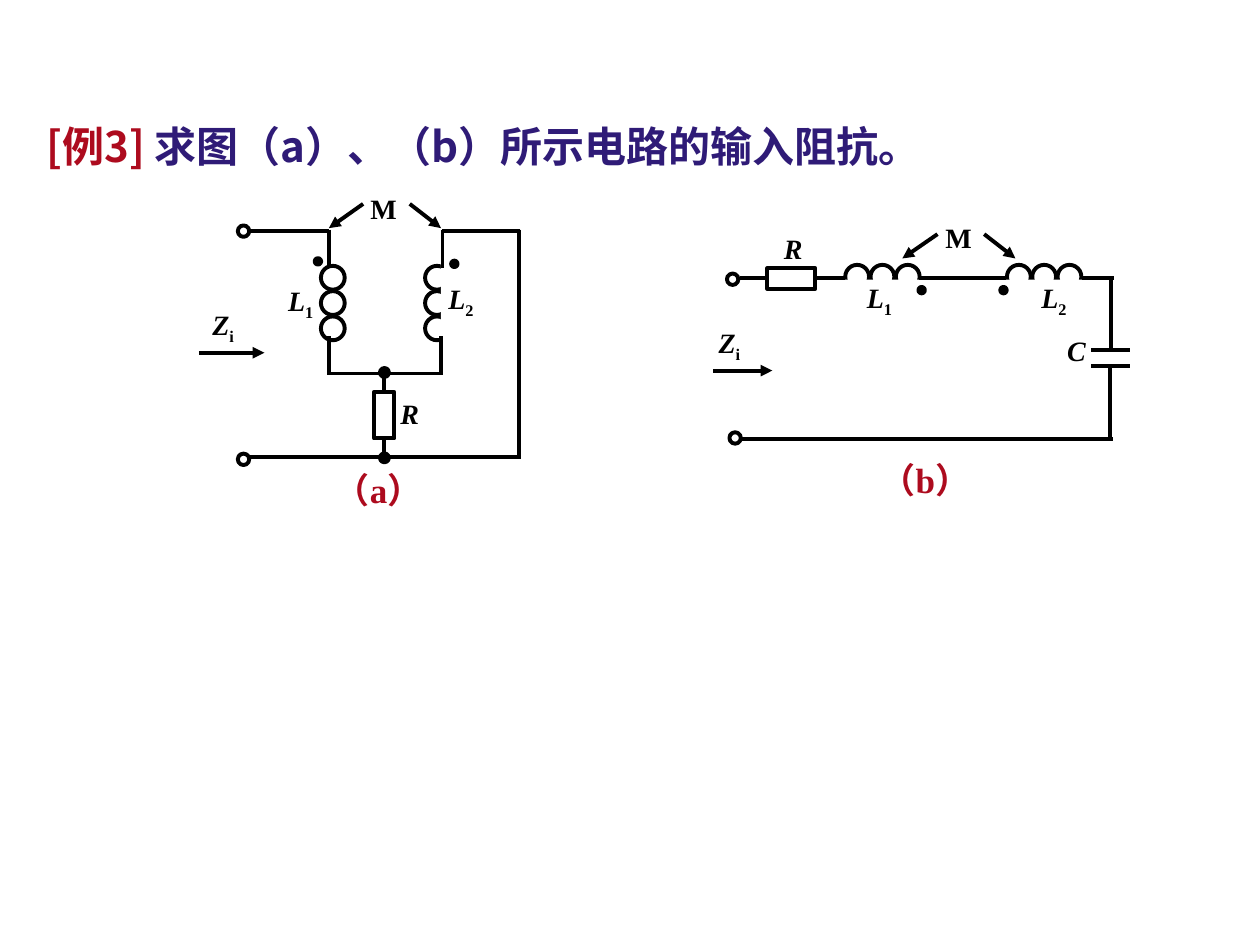
from lxml import etree
from pptx import Presentation
from pptx.dml.color import RGBColor
from pptx.enum.shapes import MSO_CONNECTOR, MSO_SHAPE
from pptx.enum.text import PP_ALIGN
from pptx.oxml.ns import qn
from pptx.util import Cm, Pt

BLACK = RGBColor(0x00, 0x00, 0x00)
WHITE = RGBColor(0xFF, 0xFF, 0xFF)
RED = RGBColor(0xAD, 0x0B, 0x1E)
NAVY = RGBColor(0x2F, 0x1B, 0x77)
OVAL, RECTANGLE = MSO_SHAPE.OVAL, MSO_SHAPE.RECTANGLE
STRAIGHT = MSO_CONNECTOR.STRAIGHT
LEFT, CENTER, JUSTIFY = PP_ALIGN.LEFT, PP_ALIGN.CENTER, PP_ALIGN.JUSTIFY
SANS, SERIF = "Noto Sans CJK SC", "Times New Roman"
LINE_WIDTH = Pt(2.25)
TERMINAL, JUNCTION, POLARITY_DOT, TURN = 0.23, 0.18, 0.13, 0.48
TURN_COUNT, TURN_PITCH = 3, 0.51

# All positions are in centimetres.
TITLE = [("[例3] ", RED), ("求图（a）、（b）所示电路的输入阻抗。", NAVY)]
TITLE_BOX = (0.69, 2.31, 22.81, 1.27)
CAPTIONS = [("（a）", (6.5, 9.32, 3.4, 1.12)), ("（b）", (17.5, 9.12, 3.4, 1.12))]

# coils: centre of the first turn, step direction
# labels: letter, subscript, italic, box, alignment
CIRCUIT_A = {
    "coils": [(6.71, 5.6, 0, 1), (8.81, 5.6, 0, 1)],
    "coil_masks": [(8.89, 5.26, 0.51, 1.7)],
    "wires": [
        (5.05, 4.65, 6.63, 4.65), (6.63, 4.63, 6.63, 5.41),
        (6.63, 6.78, 6.63, 7.56), (6.61, 7.53, 8.89, 7.53),
        (8.89, 6.78, 8.89, 7.56), (8.92, 4.63, 8.92, 5.41),
        (8.92, 4.65, 10.48, 4.65), (10.46, 4.63, 10.46, 9.25),
        (5.01, 9.22, 10.48, 9.22), (7.75, 7.54, 7.75, 9.25),
    ],
    "resistor": (7.54, 7.9, 0.41, 0.94),
    "terminals": [(4.91, 4.66), (4.91, 9.26)],
    "junctions": [(7.75, 7.51), (7.75, 9.23)],
    "polarity_dots": [(6.41, 5.27), (9.16, 5.32)],
    "arrows": [(7.32, 4.11, 6.63, 4.6), (8.26, 4.11, 8.89, 4.6),
               (4.01, 7.11, 5.33, 7.11)],
    "labels": [
        ("L", "1", True, (5.56, 5.59, 1.57, 1.04), JUSTIFY),
        ("L", "2", True, (8.79, 5.56, 1.57, 1.04), JUSTIFY),
        ("Z", "i", True, (3.51, 6.07, 1.98, 1.04), CENTER),
        ("M", "", False, (7.11, 3.73, 1.24, 0.94), CENTER),
        ("R", "", True, (7.82, 7.87, 1.57, 0.94), JUSTIFY),
    ],
}
CIRCUIT_B = {
    "coils": [(17.28, 5.58, 1, 0), (20.54, 5.58, 1, 0)],
    "coil_masks": [(16.92, 5.64, 1.73, 0.51), (20.17, 5.64, 1.73, 0.51)],
    "wires": [
        (14.91, 5.61, 15.77, 5.61), (16.18, 5.61, 17.04, 5.61),
        (18.52, 5.61, 20.27, 5.61), (21.82, 5.61, 22.45, 5.61),
        (22.4, 5.61, 22.4, 7.04), (22, 7.06, 22.78, 7.06),
        (22, 7.37, 22.78, 7.37), (22.38, 7.42, 22.38, 8.86),
        (14.94, 8.85, 22.43, 8.85),
    ],
    "resistor": (15.47, 5.41, 0.97, 0.41),
    "terminals": [(14.77, 5.63), (14.82, 8.83)],
    "junctions": [],
    "polarity_dots": [(18.58, 5.85), (20.23, 5.85)],
    "arrows": [(18.9, 4.72, 18.19, 5.21), (19.84, 4.72, 20.47, 5.21),
               (14.38, 7.47, 15.57, 7.47)],
    "labels": [
        ("L", "1", True, (16.46, 5.54, 2.54, 1.04), CENTER),
        ("L", "2", True, (19.96, 5.54, 2.57, 1.04), CENTER),
        ("R", "", True, (15.04, 4.55, 1.9, 0.94), CENTER),
        ("Z", "i", True, (13.69, 6.43, 2.03, 1.04), CENTER),
        ("C", "", True, (20.75, 6.6, 1.9, 0.94), CENTER),
        ("M", "", False, (18.69, 4.32, 1.27, 0.94), CENTER),
    ],
}


def add_text_box(shapes, box, align=LEFT):
    frame = shapes.add_textbox(*map(Cm, box)).text_frame
    frame.word_wrap = True
    paragraph = frame.paragraphs[0]
    paragraph.alignment = align
    return paragraph


def add_run(paragraph, text, *, size, font=SERIF, color=BLACK, italic=False, subscript=False):
    run = paragraph.add_run()
    run.text = text
    run.font.size = Pt(size)
    run.font.bold = True
    run.font.italic = italic
    run.font.color.rgb = color
    run.font.name = font
    properties = run._r.get_or_add_rPr()
    if font == SANS:
        etree.SubElement(properties, qn("a:ea"), typeface=font)
    if subscript:
        properties.set("baseline", "-25000")


def add_outline(shapes, kind, box, fill=None, outlined=True):
    shape = shapes.add_shape(kind, *map(Cm, box))
    shape.shadow.inherit = False
    if fill is None:
        shape.fill.background()
    else:
        shape.fill.solid()
        shape.fill.fore_color.rgb = fill
    if outlined:
        shape.line.color.rgb = BLACK
        shape.line.width = LINE_WIDTH
    else:
        shape.line.fill.background()


def add_circle(shapes, x, y, diameter, fill=None):
    """Draw a circle around the centre (x, y)."""
    box = (x - diameter / 2, y - diameter / 2, diameter, diameter)
    add_outline(shapes, OVAL, box, fill)


def add_wire(shapes, ends, arrow=False):
    connector = shapes.add_connector(STRAIGHT, *map(Cm, ends))
    connector.line.color.rgb = BLACK
    connector.line.width = LINE_WIDTH
    if arrow:
        etree.SubElement(connector.line._get_or_add_ln(), qn("a:tailEnd"), type="triangle")
    etree.SubElement(connector._element.spPr, qn("a:effectLst"))


def add_circuit(slide, circuit):
    shapes = slide.shapes.add_group_shape().shapes
    for x, y, step_x, step_y in circuit["coils"]:
        for turn in range(TURN_COUNT):
            offset = turn * TURN_PITCH
            add_circle(shapes, x + step_x * offset, y + step_y * offset, TURN)
    for box in circuit["coil_masks"]:
        add_outline(shapes, RECTANGLE, box, WHITE, outlined=False)
    for ends in circuit["wires"]:
        add_wire(shapes, ends)
    add_outline(shapes, RECTANGLE, circuit["resistor"], WHITE)
    for name, diameter, fill in (("terminals", TERMINAL, WHITE),
                                 ("junctions", JUNCTION, BLACK),
                                 ("polarity_dots", POLARITY_DOT, BLACK)):
        for x, y in circuit[name]:
            add_circle(shapes, x, y, diameter, fill)
    for ends in circuit["arrows"]:
        add_wire(shapes, ends, arrow=True)
    for letter, subscript, italic, box, align in circuit["labels"]:
        paragraph = add_text_box(shapes, box, align)
        add_run(paragraph, letter, size=16, italic=italic)
        if subscript:
            add_run(paragraph, subscript, size=16, subscript=True)


def main():
    presentation = Presentation()
    presentation.slide_width, presentation.slide_height = Cm(25.4), Cm(19.05)
    slide = presentation.slides.add_slide(presentation.slide_layouts[6])
    title = add_text_box(slide.shapes, TITLE_BOX)
    for text, color in TITLE:
        add_run(title, text, size=24, font=SANS, color=color)
    for circuit in (CIRCUIT_A, CIRCUIT_B):
        add_circuit(slide, circuit)
    for text, box in CAPTIONS:
        add_run(add_text_box(slide.shapes, box), text, size=20, color=RED)
    presentation.save("out.pptx")


if __name__ == "__main__":
    main()
